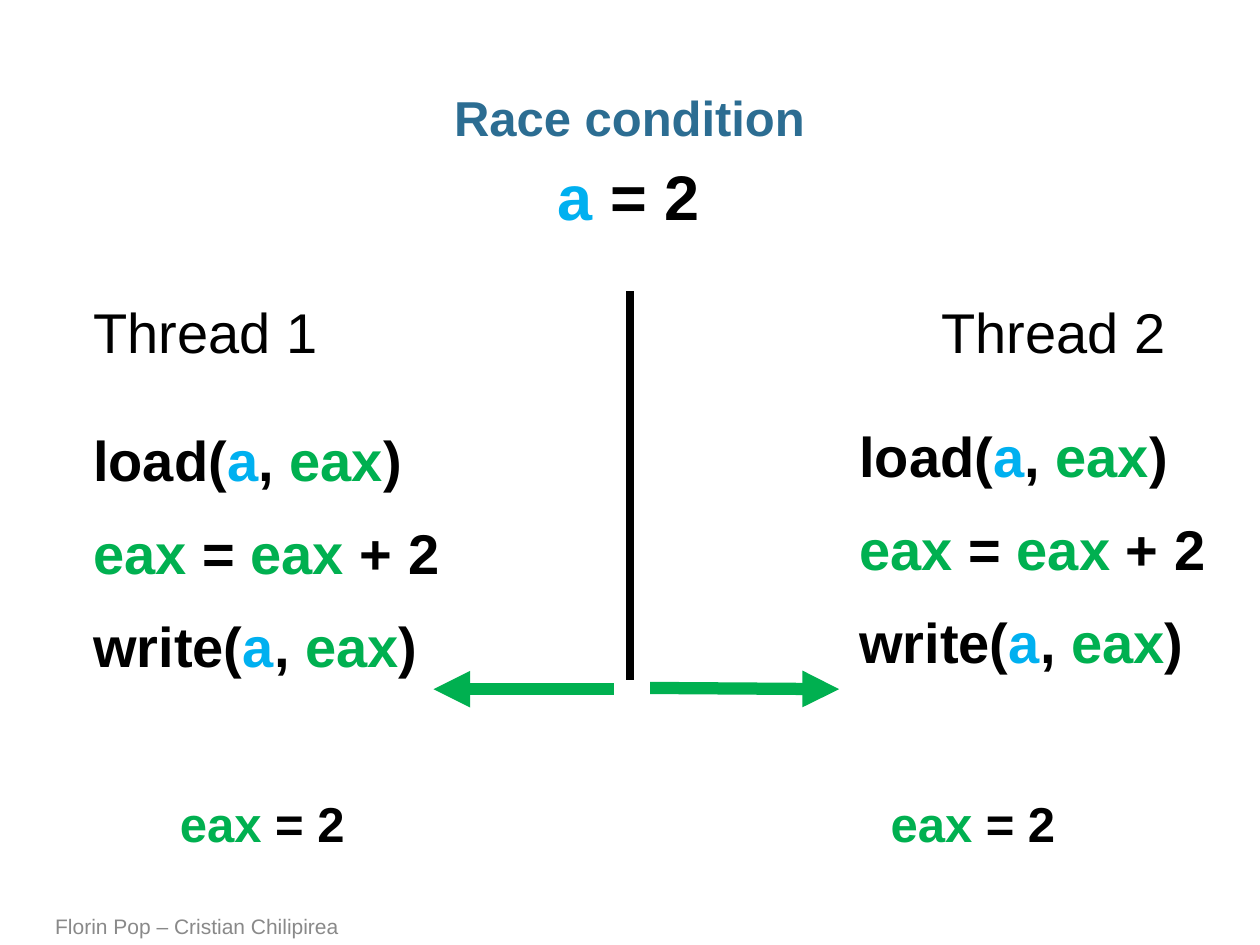
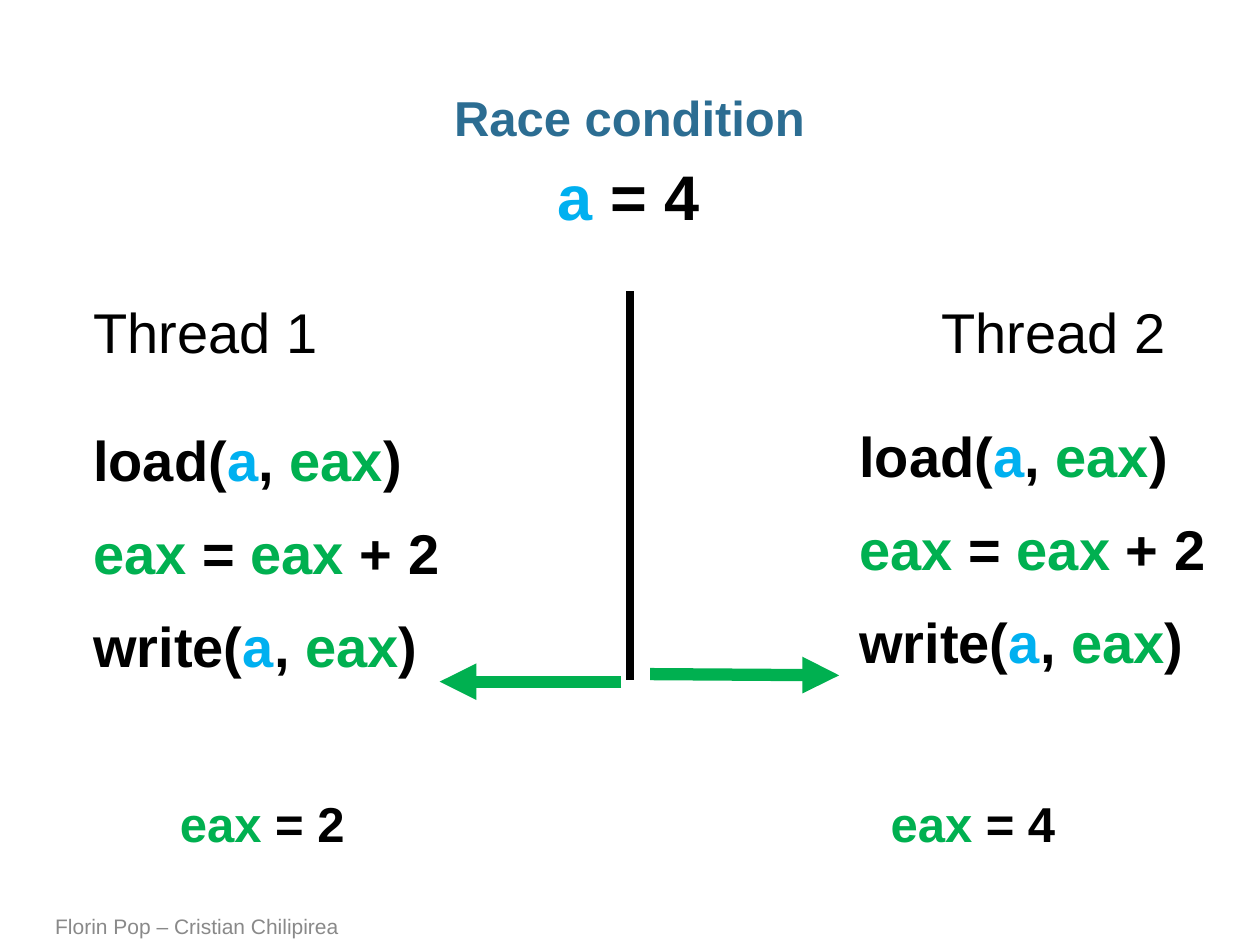
from pptx import Presentation
from pptx.dml.color import RGBColor
from pptx.enum.shapes import MSO_CONNECTOR
from pptx.enum.text import MSO_ANCHOR, PP_ALIGN
from pptx.oxml.ns import qn
from pptx.util import Inches, Pt
from lxml.etree import SubElement

# Grid of 100 columns by 75 rows on a 10 x 7.5 inch slide
COLUMNS, ROWS = 100, 75
WIDTH, HEIGHT = Inches(10), Inches(7.5)

FONT = "Arial"
BLACK, TITLE_BLUE, FOOTER_GREY = "000000", "2C6D92", "898989"
SHARED_BLUE, REGISTER_GREEN = "00B0F0", "00B050"
VARIABLE_COLOURS = {"a": SHARED_BLUE, "eax": REGISTER_GREEN}

# "|" parts the pieces that are coloured on their own
CODE = ["load(|a|, |eax|)", "eax| = |eax| + 2", "write(|a|, |eax|)"]


def colour(hex_string):
    return RGBColor.from_string(hex_string)


def across(columns):
    return round(WIDTH * columns / COLUMNS)


def down(rows):
    return round(HEIGHT * rows / ROWS)


def add_text(slide, box, lines, size, base=BLACK, bold=False, side_inset=0,
             align=PP_ALIGN.LEFT, anchor=MSO_ANCHOR.TOP, wrap=True,
             gap=0, line_spacing=None):
    left, top, width, height = box
    frame = slide.shapes.add_textbox(
        across(left), down(top), across(width), down(height)).text_frame
    frame.word_wrap = wrap
    frame.vertical_anchor = anchor
    frame.margin_left = frame.margin_right = across(side_inset)
    for number, line in enumerate(lines):
        paragraph = frame.add_paragraph() if number else frame.paragraphs[0]
        paragraph.alignment = align
        paragraph.line_spacing = line_spacing
        if number:
            paragraph.space_before = Pt(gap)
        for piece in line.split("|"):
            run = paragraph.add_run()
            run.text = piece
            run.font.name, run.font.size, run.font.bold = FONT, Pt(size), bold
            run.font.color.rgb = colour(
                VARIABLE_COLOURS.get(piece.strip(), base))


def add_line(slide, start, end, line_colour, weight, arrow=False):
    line = slide.shapes.add_connector(
        MSO_CONNECTOR.STRAIGHT, across(start[0]), down(start[1]),
        across(end[0]), down(end[1]))
    line.line.color.rgb = colour(line_colour)
    line.line.width = Pt(weight)
    properties = line._element.spPr
    if arrow:
        SubElement(properties.find(qn("a:ln")), qn("a:tailEnd"),
                   type="triangle")
    SubElement(properties, qn("a:effectLst"))


def add_frame(slide):
    # Title and footer
    add_text(slide, (3.4, 6.8, 93.1, 5), ["Race condition"], 28,
             base=TITLE_BLUE, bold=True, align=PP_ALIGN.CENTER,
             line_spacing=0.95)
    add_text(slide, (3.4, 72.2, 73.7, 2.8),
             ["Florin Pop – Cristian Chilipirea"], 12, base=FOOTER_GREY,
             side_inset=1, anchor=MSO_ANCHOR.BOTTOM)


def add_thread(slide, box, name, register, name_shift, code_drop,
               register_shift):
    # Heading, instructions and resulting register of one thread
    left, top, width, height = box
    add_text(slide, (left + name_shift, top, 25.3, 6.6), [name], 32)
    add_text(slide, (left, top + code_drop, width, 24.6), CODE, 32,
             bold=True, gap=14.7)
    add_text(slide, (left + register_shift, top + height - 5.7, 21, 5.7),
             [f"eax |= {register}"], 28, bold=True, side_inset=1)


def add_race_slide(deck, shared, registers, arrows):
    slide = deck.slides.add_slide(deck.slide_layouts[6])
    add_frame(slide)
    # Shared variable above the divider
    add_text(slide, (43.3, 12, 13.4, 7.1), [f"a| = {shared}"], 36,
             bold=True, side_inset=1, wrap=False)
    add_line(slide, (50, 23.1), (50, 54), BLACK, 5)
    add_thread(slide, (7.4, 23.1, 31.8, 45.1), "Thread 1", registers[0],
               name_shift=0, code_drop=10.2, register_shift=5.9)
    add_thread(slide, (68.2, 23.1, 31.8, 45.1), "Thread 2", registers[1],
               name_shift=6.5, code_drop=9.9, register_shift=1.5)
    # Progress of each thread
    for start, end in arrows:
        add_line(slide, start, end, REGISTER_GREEN, 7, arrow=True)


def main():
    deck = Presentation()
    deck.slide_width, deck.slide_height = WIDTH, HEIGHT
    add_race_slide(deck, 2, (2, 2), [((48.7, 54.7), (34.4, 54.7)),
                                     ((51.6, 54.6), (66.6, 54.7))])
    add_race_slide(deck, 4, (2, 4), [((49.3, 54.1), (34.9, 54.1)),
                                     ((51.6, 53.5), (66.6, 53.6))])
    deck.save("out.pptx")


if __name__ == "__main__":
    main()
